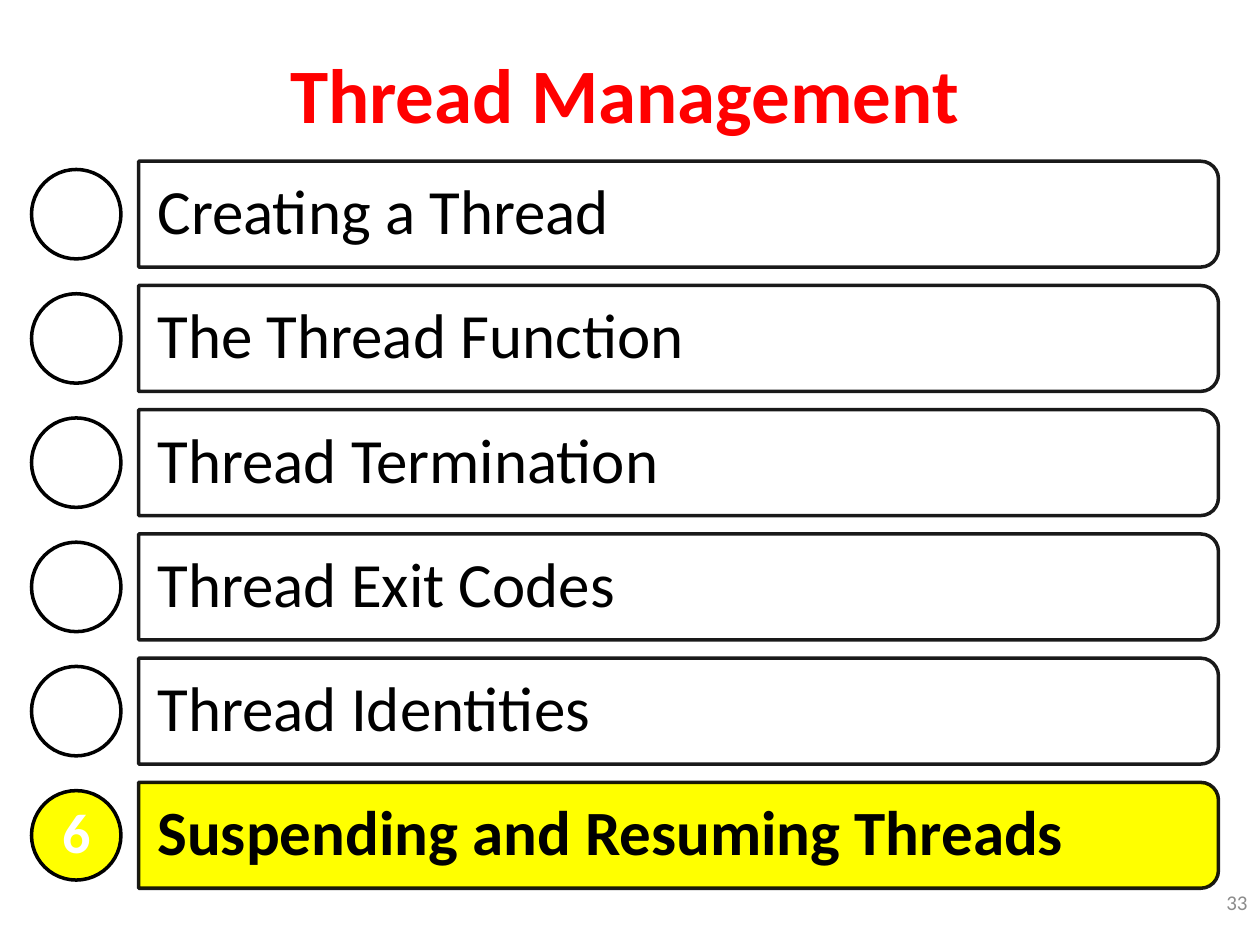
import pptx
import pptx.dml.color
import pptx.enum.shapes
import pptx.enum.text
import pptx.oxml
import pptx.oxml.ns
import pptx.util
from pptx.util import Inches

RGBColor = pptx.dml.color.RGBColor
SHAPE = pptx.enum.shapes.MSO_SHAPE
ALIGN = pptx.enum.text.PP_ALIGN
MIDDLE = pptx.enum.text.MSO_ANCHOR.MIDDLE

BLACK = RGBColor(0x00, 0x00, 0x00)
WHITE = RGBColor(0xFF, 0xFF, 0xFF)
YELLOW = RGBColor(0xFF, 0xFF, 0x00)
RED = RGBColor(0xFF, 0x00, 0x00)
GREY = RGBColor(0x8C, 0x8C, 0x8C)

TOPICS = [
    "Creating a Thread",
    "The Thread Function",
    "Thread Termination",
    "Thread Exit Codes",
    "Thread Identities",
    "Suspending and Resuming Threads",
]
CURRENT = 6


def write_text(sp, text, size, color, bold=False, align=ALIGN.LEFT,
               insets=(0.1, 0.05), line_spacing=None):
    tf = sp.text_frame
    tf.word_wrap = True
    tf.auto_size = pptx.enum.text.MSO_AUTO_SIZE.NONE
    tf.vertical_anchor = MIDDLE
    tf.margin_left = tf.margin_right = Inches(insets[0])
    tf.margin_top = tf.margin_bottom = Inches(insets[1])
    p = tf.paragraphs[0]
    p.alignment = align
    p.line_spacing = line_spacing
    r = p.add_run()
    r.text = text
    r.font.name = "Calibri"
    r.font.size = pptx.util.Pt(size)
    r.font.bold = bold
    r.font.color.rgb = color


def set_alpha(sp, query, percent):
    for clr in sp.element.spPr.xpath(query):
        alpha = pptx.oxml.parse_xml(
            f'<a:alpha {pptx.oxml.ns.nsdecls("a")} val="{percent * 1000}"/>')
        clr.append(alpha)


def add_outlined_shape(s, kind, left, top, width, height, fill):
    sp = s.shapes.add_shape(kind, left, top, width, height)
    sp.shadow.inherit = False
    sp.fill.solid()
    sp.fill.fore_color.rgb = fill
    sp.line.color.rgb = BLACK
    sp.line.width = pptx.util.Pt(2)
    return sp


def add_title(s, left, top, width, height):
    title = s.shapes.title
    title.left, title.top, title.width, title.height = left, top, width, height
    write_text(title, "Thread Management", 44, RED, bold=True, align=ALIGN.CENTER)


def add_topic(s, number, topic, left, top, width, height):
    current = number == CURRENT
    fill = YELLOW if current else WHITE
    bar_left = left + Inches(0.85)
    bar_width = left + width - bar_left

    bar = add_outlined_shape(
        s, SHAPE.ROUND_2_SAME_RECTANGLE,
        bar_left + (bar_width - height) // 2, top + (height - bar_width) // 2,
        height, bar_width, fill)
    bar.rotation = 90
    set_alpha(bar, "./a:ln/a:solidFill/a:srgbClr", 90)
    if not current:
        set_alpha(bar, "./a:solidFill/a:srgbClr", 90)

    margin = Inches(0.04)
    label = s.shapes.add_textbox(
        bar_left, top + margin, bar_width - margin, height - 2 * margin)
    write_text(label, topic, 36, BLACK, bold=current,
               insets=(0.15, 0.1), line_spacing=0.9)

    size = Inches(0.71)
    badge = add_outlined_shape(
        s, SHAPE.OVAL, left, top + (height - size) // 2, size, size, fill)
    if current:
        write_text(badge, str(number), 32, WHITE, bold=True,
                   align=ALIGN.CENTER, insets=(0, 0), line_spacing=0.9)


def add_topic_list(s, left, top, width, height):
    row_height = Inches(0.84)
    pitch = (height - row_height) // (len(TOPICS) - 1)
    for i, topic in enumerate(TOPICS):
        add_topic(s, i + 1, topic, left, top + i * pitch, width, row_height)


def add_slide_number(s, left, top, width, height):
    sp = s.shapes.add_textbox(left, top, width, height)
    write_text(sp, "33", 12, GREY, align=ALIGN.RIGHT)


def main():
    prs = pptx.Presentation()
    prs.slide_width = Inches(10)
    prs.slide_height = Inches(7.5)
    s = prs.slides.add_slide(prs.slide_layouts[5])
    add_topic_list(s, Inches(0.25), Inches(1.28), Inches(9.42), Inches(5.77))
    add_title(s, Inches(0.25), Inches(0.3), Inches(9.42), Inches(0.87))
    add_slide_number(s, Inches(9.33), Inches(6.82), Inches(0.67), Inches(0.68))
    prs.save("out.pptx")


if __name__ == "__main__":
    main()
